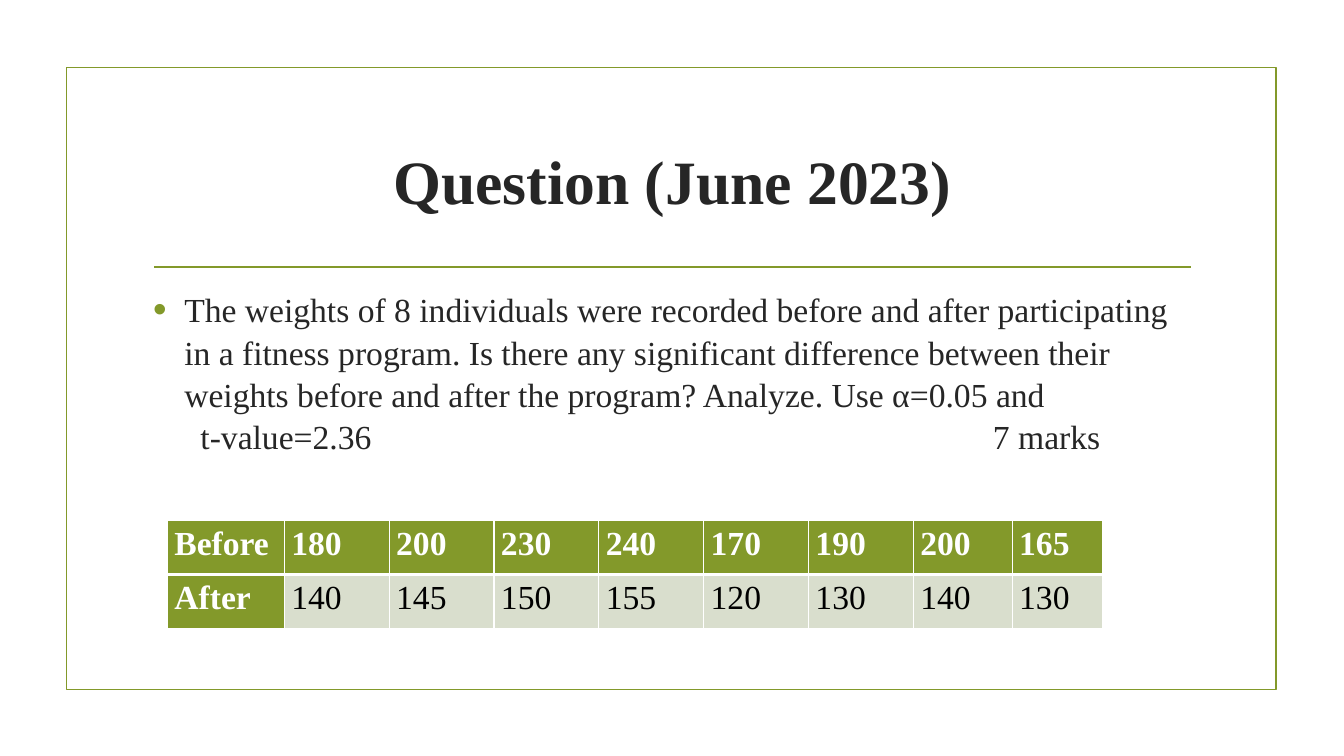
from lxml.etree import SubElement
from pptx import Presentation
from pptx.dml.color import RGBColor
from pptx.enum.shapes import MSO_CONNECTOR as Link, MSO_SHAPE as Shape
from pptx.enum.text import MSO_ANCHOR as Anchor, PP_ALIGN as Align
from pptx.oxml.ns import qn
from pptx.util import Inches, Pt

TITLE = "Question (June 2023)"
BODY = ("The weights of 8 individuals were recorded before and after participating "
        "in a fitness program. Is there any significant difference between their "
        "weights before and after the program? Analyze. Use α=0.05 and")
MARKS = "\tt-value=2.36\t7 marks"
ROWS = [
    ("Before", 180, 200, 230, 240, 170, 190, 200, 165),
    ("After", 140, 145, 150, 155, 120, 130, 140, 130),
]
COLS = [1.16] + [1.04] * 6 + [0.98, 0.9]
TABS = [0.47, 8.33]
ROW = 0.54
GREEN, PALE, WHITE, INK, BLACK = "83992A", "D9DECD", "FFFFFF", "262626", "000000"
FONT = "Times New Roman"


def color(code):
    return RGBColor.from_string(code)


def write(para, text, size=24, ink=INK, bold=False, align=Align.LEFT, after=0, lead=None):
    para.alignment = align
    para.space_before = Pt(0)
    para.space_after = Pt(after)
    para.line_spacing = lead
    run = para.add_run()
    run.text = text
    font = run.font
    font.name, font.size, font.bold = FONT, Pt(size), bold
    font.color.rgb = color(ink)


def bullet(para):
    props = para._p.get_or_add_pPr()
    props.set("marL", str(Inches(0.31)))
    props.set("indent", str(-Inches(0.31)))
    SubElement(SubElement(props, qn("a:buClr")), qn("a:srgbClr"), val=GREEN)
    SubElement(props, qn("a:buSzPct"), val="115000")
    SubElement(props, qn("a:buFont"), typeface="Arial")
    SubElement(props, qn("a:buChar"), char="•")


def tabs(para, stops):
    group = SubElement(para._p.get_or_add_pPr(), qn("a:tabLst"))
    for stop in stops:
        SubElement(group, qn("a:tab"), pos=str(Inches(stop)), algn="l")


def box(slide, left, top, width, height, anchor=Anchor.TOP):
    frame = slide.shapes.add_textbox(*map(Inches, (left, top, width, height))).text_frame
    frame.word_wrap = True
    frame.vertical_anchor = anchor
    return frame


def border(cell, widths):
    props = cell._tc.get_or_add_tcPr()
    for index, (side, width) in enumerate(widths.items()):
        line = props.makeelement(qn("a:ln" + side), {"w": str(Pt(width))})
        SubElement(SubElement(line, qn("a:solidFill")), qn("a:srgbClr"), val=WHITE)
        props.insert(index, line)


def grid(slide):
    table = slide.shapes.add_table(len(ROWS), len(COLS), Inches(1.66), Inches(5.16),
                                   Inches(sum(COLS)), Inches(ROW * len(ROWS))).table
    for col, width in zip(table.columns, COLS):
        col.width = Inches(width)
    for r, values in enumerate(ROWS):
        table.rows[r].height = Inches(ROW)
        for c, value in enumerate(values):
            cell = table.cell(r, c)
            head = r == 0 or c == 0
            cell.margin_left = cell.margin_right = Inches(0.07)
            cell.margin_top = cell.margin_bottom = 0
            cell.fill.solid()
            cell.fill.fore_color.rgb = color(GREEN if head else PALE)
            write(cell.text_frame.paragraphs[0], str(value), ink=WHITE if head else BLACK,
                  bold=head, after=8, lead=1.15)
            border(cell, {"L": 1, "R": 1, "T": 3 if r else 1, "B": 1 if r else 3})


def main():
    deck = Presentation()
    deck.slide_width, deck.slide_height = Inches(13.33), Inches(7.5)
    slide = deck.slides.add_slide(deck.slide_layouts[6])

    frame = slide.shapes.add_shape(Shape.RECTANGLE, *map(Inches, (0.66, 0.67, 12, 6.17)))
    frame.shadow.inherit = False
    frame.fill.background()
    rule = slide.shapes.add_connector(Link.STRAIGHT, *map(Inches, (1.53, 2.65, 11.81, 2.65)))
    SubElement(rule._element.spPr, qn("a:effectLst"))
    for item in (frame, rule):
        item.line.color.rgb = color(GREEN)
        item.line.width = Pt(1.25)

    title = box(slide, 1.42, 1.07, 10.5, 1.43, Anchor.MIDDLE)
    write(title.paragraphs[0], TITLE, size=44, bold=True, align=Align.CENTER)

    body = box(slide, 1.42, 2.8, 10.5, 3.63)
    bullet(body.paragraphs[0])
    write(body.paragraphs[0], BODY, lead=1.05)
    marks = body.add_paragraph()
    tabs(marks, TABS)
    write(marks, MARKS, after=6, lead=1.05)

    grid(slide)
    deck.save("out.pptx")


if __name__ == "__main__":
    main()
